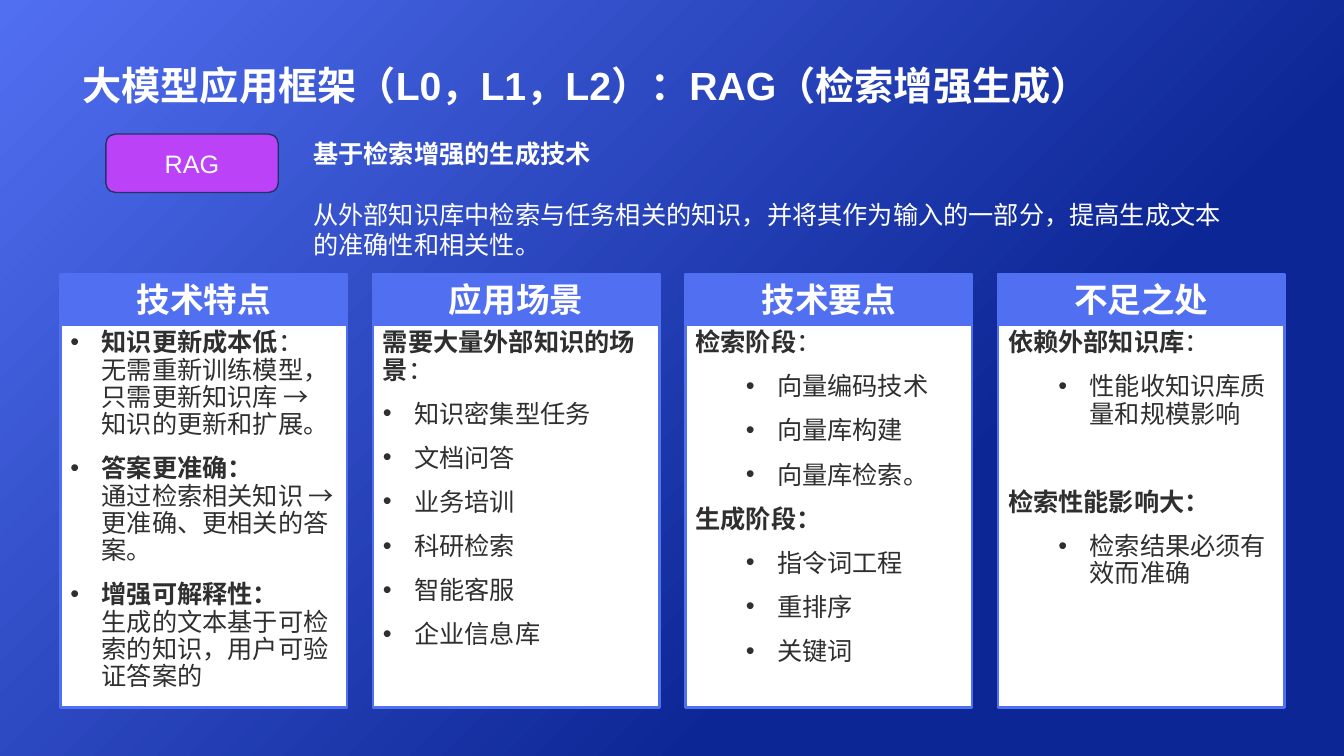
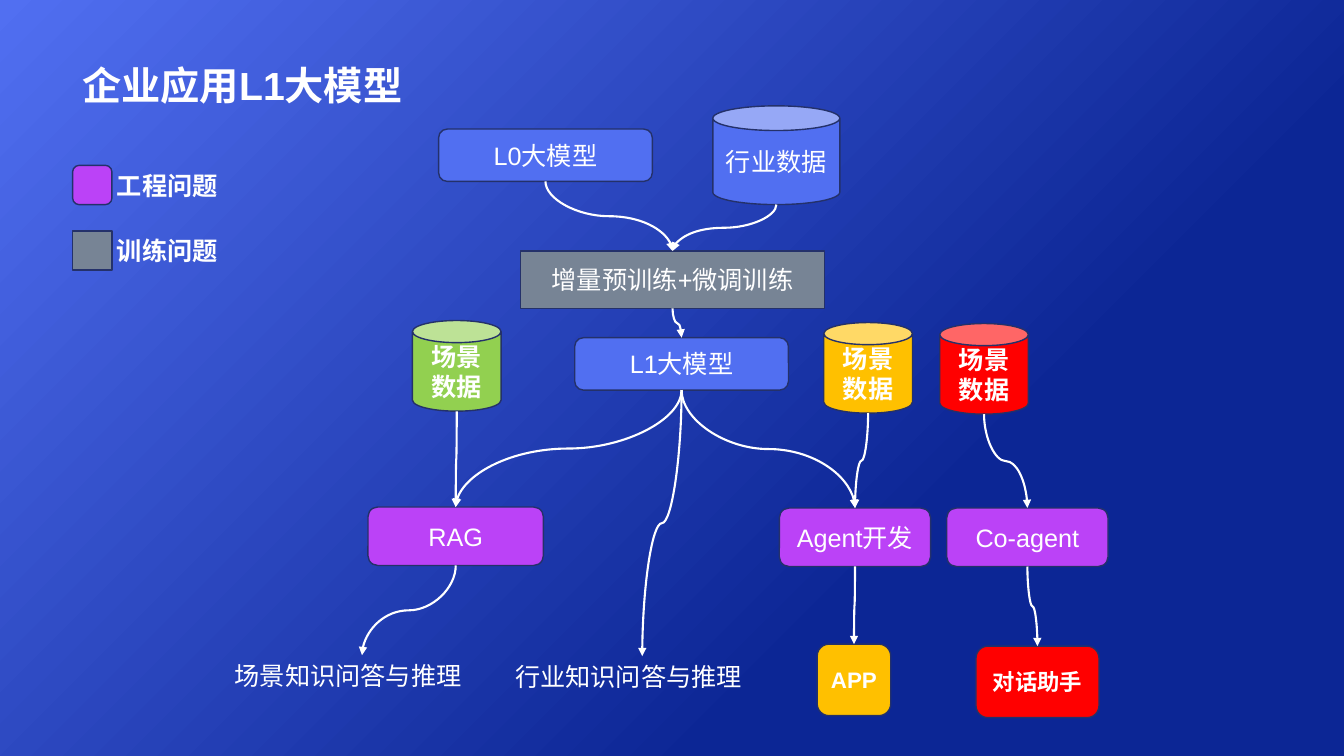
"""Builds two slides on RAG and on enterprise L1 large-model applications."""
from lxml.etree import SubElement
from pptx import Presentation
from pptx.dml.color import RGBColor
from pptx.enum.lang import MSO_LANGUAGE_ID
from pptx.enum.shapes import MSO_CONNECTOR, MSO_SHAPE
from pptx.enum.text import MSO_ANCHOR, PP_ALIGN
from pptx.oxml.ns import qn
from pptx.util import Inches, Pt

WHITE = RGBColor(0xFF, 0xFF, 0xFF)
INK = RGBColor(0x2F, 0x2F, 0x2F)
NAVY = RGBColor(0x0C, 0x26, 0x95)
BLUE = RGBColor(0x51, 0x6F, 0xF1)
OUTLINE = RGBColor(0x24, 0x31, 0x6A)
PURPLE = RGBColor(0xBB, 0x42, 0xF7)
GRAY = RGBColor(0x77, 0x84, 0x95)
GREEN = RGBColor(0x92, 0xD0, 0x50)
AMBER = RGBColor(0xFF, 0xC0, 0x00)
RED = RGBColor(0xFF, 0x00, 0x00)
FONT = "Arial"

ROUND, RECT, CAN = MSO_SHAPE.ROUNDED_RECTANGLE, MSO_SHAPE.RECTANGLE, MSO_SHAPE.CAN
BOTTOM, TOP = 3, 0

RAG_TITLE = "大模型应用框架（L0，L1，L2）：RAG（检索增强生成）"
RAG_INTRO = [
    ("基于检索增强的生成技术", True, 0),
    ("从外部知识库中检索与任务相关的知识，并将其作为输入的一部分，提高生成文本的准确性和相关性。", False, 22),
]

PLAIN, BULLET, NESTED = None, 0.31, 0.81
PANEL_LEFT, PANEL_TOP, PANEL_STEP, PANEL_WIDTH = 0.6, 2.72, 3.1, 2.84
HEADER_HEIGHT, BODY_HEIGHT = 0.5, 3.8
GAP, WIDE_GAP = 12, 43.5
PANELS = [
    ("技术特点", [
        (BULLET, "知识更新成本低", "：\n无需重新训练模型，只需更新知识库 → 知识的更新和扩展。", GAP),
        (BULLET, "答案更准确：\n", "通过检索相关知识 →更准确、更相关的答案。", GAP),
        (BULLET, "增强可解释性：\n", "生成的文本基于可检索的知识，用户可验证答案的", GAP),
    ]),
    ("应用场景", [
        (PLAIN, "需要大量外部知识的场景", "：", GAP),
        (BULLET, "", "知识密集型任务", GAP),
        (BULLET, "", "文档问答", GAP),
        (BULLET, "", "业务培训", GAP),
        (BULLET, "", "科研检索", GAP),
        (BULLET, "", "智能客服", GAP),
        (BULLET, "", "企业信息库", GAP),
    ]),
    ("技术要点", [
        (PLAIN, "检索阶段", "：", GAP),
        (NESTED, "", "向量编码技术", GAP),
        (NESTED, "", "向量库构建", GAP),
        (NESTED, "", "向量库检索。", GAP),
        (PLAIN, "生成阶段：", "", GAP),
        (NESTED, "", "指令词工程", GAP),
        (NESTED, "", "重排序", GAP),
        (NESTED, "", "关键词", GAP),
    ]),
    ("不足之处", [
        (PLAIN, "依赖外部知识库", "：", GAP),
        (NESTED, "", "性能收知识库质量和规模影响", WIDE_GAP),
        (PLAIN, "检索性能影响大：", "", GAP),
        (NESTED, "", "检索结果必须有效而准确", GAP),
    ]),
]

FLOW_TITLE = "企业应用L1大模型"
MODEL, SCENE, RESULT_HEIGHT = (2.12, 0.52), (0.88, 0.9), 0.71
NODES = {
    "base": ("L0大模型", ROUND, BLUE, 5.41, 1.28, *MODEL, 18, False),
    "industry": ("行业数据", CAN, BLUE, 7.7, 1.05, 1.26, 0.98, 18, False),
    "training": ("增量预训练+微调训练", RECT, GRAY, 6.67, 2.49, 3.02, 0.57, 18, False),
    "tuned": ("L1大模型", ROUND, BLUE, 6.76, 3.35, *MODEL, 18, False),
    "rag data": ("场景数据", CAN, GREEN, 4.53, 3.18, *SCENE, 18, True),
    "agent data": ("场景数据", CAN, AMBER, 8.61, 3.2, *SCENE, 18, True),
    "assist data": ("场景数据", CAN, RED, 9.76, 3.21, *SCENE, 18, True),
    "rag": ("RAG", ROUND, PURPLE, 4.52, 5.03, 1.74, 0.58, 18, False),
    "agent": ("Agent开发", ROUND, PURPLE, 8.48, 5.04, 1.5, 0.58, 18, False),
    "assist": ("Co-agent", ROUND, PURPLE, 10.19, 5.04, 1.6, 0.58, 18, False),
    "app": ("APP", ROUND, AMBER, 8.47, 6.39, 0.73, RESULT_HEIGHT, 16, True),
    "dialogue": ("对话助手", ROUND, RED, 10.29, 6.41, 1.22, RESULT_HEIGHT, 16, True),
}
ANSWERS = {
    "scene answer": ("场景知识问答与推理", 2.23, 6.5),
    "industry answer": ("行业知识问答与推理", 5.01, 6.51),
}
FLOWS = [
    ("base", "training"), ("industry", "training"), ("training", "tuned"),
    ("tuned", "rag"), ("tuned", "agent"), ("tuned", "industry answer"),
    ("rag data", "rag"), ("agent data", "agent"), ("assist data", "assist"),
    ("rag", "scene answer"), ("agent", "app"), ("assist", "dialogue"),
]
LEGEND_LEFT, LEGEND_TOP, LEGEND_STEP, SWATCH = 0.72, 1.64, 0.65, 0.39
LEGEND = [("工程问题", ROUND, PURPLE), ("训练问题", RECT, GRAY)]


def add_text(paragraph, text, size, bold=False, color=WHITE):
    for number, line in enumerate(text.split("\n")):
        if number:
            paragraph.add_line_break()
        if line:
            run = paragraph.add_run()
            run.text = line
            font = run.font
            font.name, font.size, font.bold = FONT, Pt(size), bold
            font.color.rgb = color
            font.language_id = MSO_LANGUAGE_ID.SIMPLIFIED_CHINESE


def add_label(slide, box, text="", size=18, bold=False,
              align=PP_ALIGN.LEFT, anchor=MSO_ANCHOR.TOP):
    label = slide.shapes.add_textbox(*map(Inches, box))
    frame = label.text_frame
    frame.word_wrap, frame.vertical_anchor = True, anchor
    frame.paragraphs[0].alignment = align
    add_text(frame.paragraphs[0], text, size, bold)
    return label


def add_box(slide, geometry, box, fill, text="", size=18, bold=False,
            outline=OUTLINE, weight=1):
    shape = slide.shapes.add_shape(geometry, *map(Inches, box))
    shape.shadow.inherit = False
    shape.fill.solid()
    shape.fill.fore_color.rgb = fill
    shape.line.color.rgb, shape.line.width = outline, Pt(weight)
    frame = shape.text_frame
    frame.word_wrap, frame.vertical_anchor = True, MSO_ANCHOR.MIDDLE
    frame.paragraphs[0].alignment = PP_ALIGN.CENTER
    add_text(frame.paragraphs[0], text, size, bold)
    return shape


def next_paragraph(frame, number):
    return frame.add_paragraph() if number else frame.paragraphs[0]


def add_panel(slide, left, heading, points):
    add_box(slide, RECT, (left, PANEL_TOP, PANEL_WIDTH, HEADER_HEIGHT), BLUE,
            heading, 24, True, BLUE, 1.75)
    body = add_box(slide, RECT, (left, PANEL_TOP + HEADER_HEIGHT, PANEL_WIDTH, BODY_HEIGHT),
                   WHITE, outline=BLUE, weight=1.75)
    frame = body.text_frame
    frame.vertical_anchor = MSO_ANCHOR.TOP
    for number, (indent, strong, rest, gap) in enumerate(points):
        paragraph = next_paragraph(frame, number)
        paragraph.alignment = PP_ALIGN.LEFT
        paragraph.line_spacing, paragraph.space_after = Pt(19.5), Pt(gap)
        if indent is not PLAIN:
            paragraph.level = int(indent == NESTED)
            props = paragraph._p.get_or_add_pPr()
            props.set("marL", str(Inches(indent)))
            props.set("indent", str(-Inches(BULLET)))
            SubElement(props, qn("a:buFont")).set("typeface", FONT)
            SubElement(props, qn("a:buChar")).set("char", "•")
        add_text(paragraph, strong, 18, True, INK)
        add_text(paragraph, rest, 18, False, INK)


def add_flow(slide, source, target):
    start_x, start_y = source.left + source.width // 2, source.top + source.height
    end_x, end_y = target.left + target.width // 2, target.top
    across, down = abs(end_x - start_x), end_y - start_y
    flow = slide.shapes.add_connector(MSO_CONNECTOR.CURVE, 0, 0, 0, 0)
    flow.begin_connect(source, BOTTOM if source.auto_shape_type == CAN else 2)
    flow.end_connect(target, TOP)
    flow.left = (start_x + end_x - down) // 2
    flow.top = (start_y + end_y - across) // 2
    flow.width, flow.height = down, across
    rightward = end_x > start_x
    props = flow._element.spPr
    turn = props.find(qn("a:xfrm"))
    turn.set("rot", str((270 if rightward else 90) * 60000))
    turn.set("flipH", str(int(rightward)))
    turn.set("flipV", "0")
    flow.line.color.rgb, flow.line.width = WHITE, Pt(1.5)
    SubElement(flow.line._get_or_add_ln(), qn("a:tailEnd")).set("type", "triangle")
    SubElement(props, qn("a:effectLst"))


def add_slide(deck, title):
    slide = deck.slides.add_slide(deck.slide_layouts[6])
    add_label(slide, (0.72, 0.14, 11.88, 0.98), title, 28, True, anchor=MSO_ANCHOR.BOTTOM)
    return slide


def paint_background(deck):
    fill = deck.slide_master.background.fill
    fill.gradient()
    fill.gradient_angle = 135
    for stop, (position, color) in zip(fill.gradient_stops, [(0.31, NAVY), (1, BLUE)]):
        stop.position, stop.color.rgb = position, color


def build_rag(deck):
    slide = add_slide(deck, RAG_TITLE)
    add_box(slide, ROUND, (1.05, 1.33, 1.71, 0.58), PURPLE, "RAG")
    intro = add_label(slide, (3.01, 1.32, 9.4, 1.31)).text_frame
    for number, (text, bold, space) in enumerate(RAG_INTRO):
        paragraph = next_paragraph(intro, number)
        paragraph.space_before = Pt(space)
        add_text(paragraph, text, 18, bold)
    for column, (heading, points) in enumerate(PANELS):
        add_panel(slide, PANEL_LEFT + column * PANEL_STEP, heading, points)


def build_flow(deck):
    slide = add_slide(deck, FLOW_TITLE)
    parts = {}
    for key, (text, geometry, fill, center, top, width, height, size, bold) in NODES.items():
        box = (center - width / 2, top, width, height)
        parts[key] = add_box(slide, geometry, box, fill, text, size, bold)
    for key, (text, left, top) in ANSWERS.items():
        parts[key] = add_label(slide, (left, top, 2.72, 0.4), text)
    for source, target in FLOWS:
        add_flow(slide, parts[source], parts[target])
    for row, (text, geometry, fill) in enumerate(LEGEND):
        top = LEGEND_TOP + row * LEGEND_STEP
        add_box(slide, geometry, (LEGEND_LEFT, top, SWATCH, SWATCH), fill)
        add_label(slide, (0.91, top, 1.5, 0.4), text, bold=True, align=PP_ALIGN.CENTER)


def main():
    deck = Presentation()
    deck.slide_width, deck.slide_height = Inches(13.33), Inches(7.5)
    paint_background(deck)
    build_rag(deck)
    build_flow(deck)
    deck.save("out.pptx")


if __name__ == "__main__":
    main()
